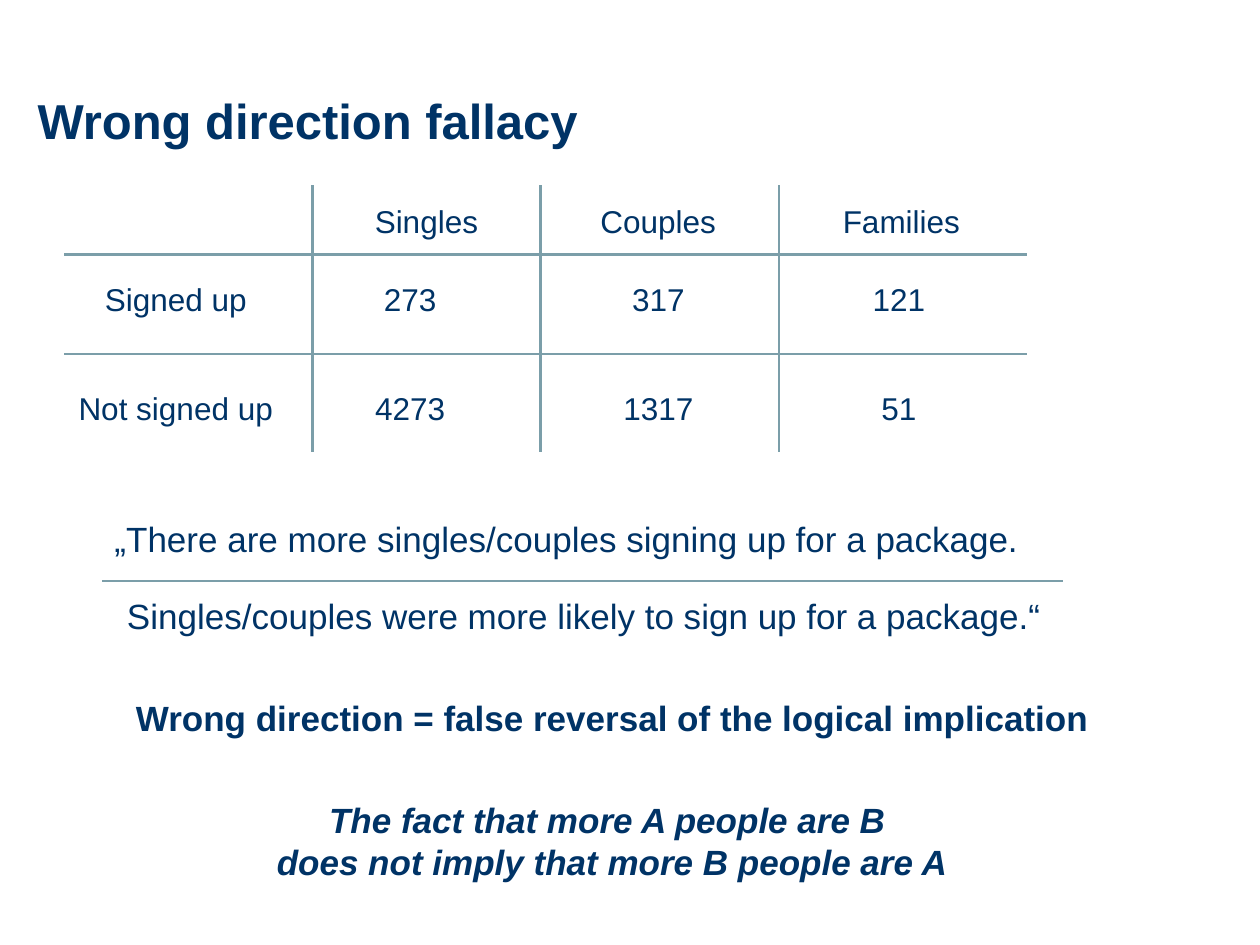
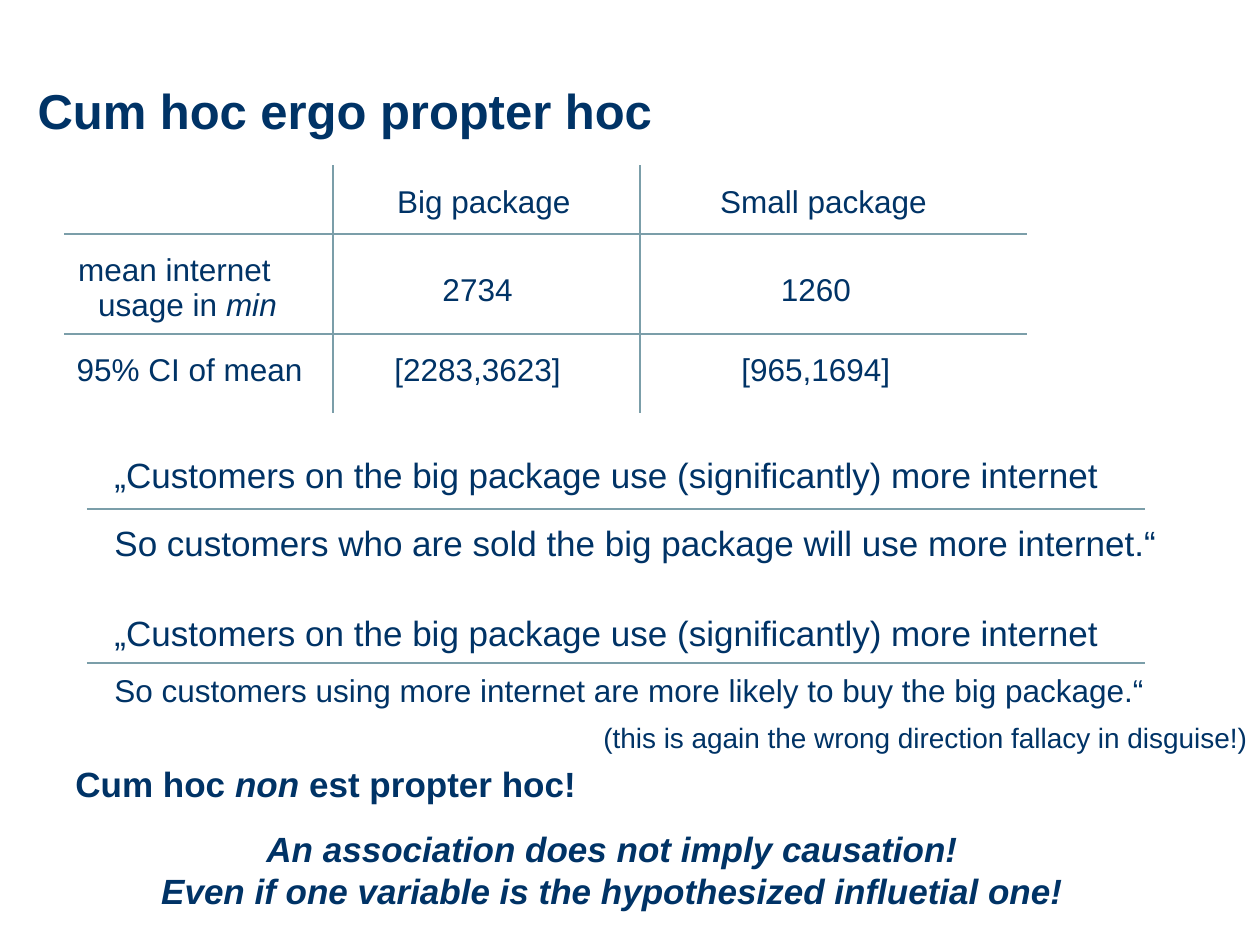
from lxml import etree
from pptx import Presentation
from pptx.dml.color import RGBColor
from pptx.enum import shapes, text
from pptx.oxml import ns
from pptx.util import Inches, Pt

NAVY = RGBColor(0x00, 0x33, 0x66)
SLATE = RGBColor(0x7B, 0x9E, 0xA9)
FONT = "Arial"
RULE_WIDTH = Pt(1.25)
PLAIN_TABLE = "{2D5ABB26-0587-4C30-8999-92F81FD0307C}"
CENTER = text.PP_ALIGN.CENTER
LEFT = text.PP_ALIGN.LEFT
TOP = text.MSO_ANCHOR.TOP
MIDDLE = text.MSO_ANCHOR.MIDDLE


def write(frame, content, size=20, bold=False, italic=False, align=LEFT, before=0):
    spans = [(content, italic)] if isinstance(content, str) else content
    para = frame.paragraphs[0]
    para.alignment = align
    para.space_before = Pt(before)
    for wording, slanted in spans:
        for number, line in enumerate(wording.split("\n")):
            if number:
                para.add_line_break()
            span = para.add_run()
            span.text = line
            span.font.name = FONT
            span.font.size = Pt(size)
            span.font.bold = bold
            span.font.italic = slanted
            span.font.color.rgb = NAVY


def add_text(page, box, content, anchor=TOP, **style):
    frame = page.shapes.add_textbox(*map(Inches, box)).text_frame
    frame.word_wrap = True
    frame.vertical_anchor = anchor
    write(frame, content, **style)


def add_title(page, top, wording):
    add_text(page, (0.2, top, 9.52, 0.55), wording, MIDDLE, size=28, bold=True, before=2)


def add_moral(page, top, wording):
    add_text(page, (-0.04, top, 9.8, 0.93), wording, bold=True, italic=True, align=CENTER)


def add_rule(page, start, end):
    rule = page.shapes.add_connector(
        shapes.MSO_CONNECTOR.STRAIGHT, *map(Inches, start + end))
    rule.line.color.rgb = SLATE
    rule.line.width = RULE_WIDTH
    etree.SubElement(rule._element.spPr, ns.qn("a:effectLst"))


def add_argument(page, premise_box, rule, conclusion_box, premise, conclusion, size=20):
    left, right, y = rule
    add_text(page, premise_box, premise)
    add_rule(page, (left, y), (right, y))
    add_text(page, conclusion_box, conclusion, size=size)


def set_margins(cell, shift, drop):
    cell.margin_left = Inches(max(2 * shift, 0))
    cell.margin_right = Inches(max(-2 * shift, 0))
    cell.margin_top = Inches(max(2 * drop, 0))
    cell.margin_bottom = Inches(max(-2 * drop, 0))


def add_grid(page, columns, rows, cells, header_shifts, body_shifts, drops):
    box = (columns[0], rows[0], columns[-1] - columns[0], rows[-1] - rows[0])
    grid = page.shapes.add_table(len(rows) - 1, len(columns) - 1, *map(Inches, box)).table
    grid.first_row = grid.horz_banding = False
    grid._tbl.tblPr.find(ns.qn("a:tableStyleId")).text = PLAIN_TABLE
    for column, start, end in zip(grid.columns, columns, columns[1:]):
        column.width = Inches(end - start)
    for row, start, end in zip(grid.rows, rows, rows[1:]):
        row.height = Inches(end - start)
    for r, line in enumerate(cells):
        shifts = body_shifts if r else header_shifts
        for c, content in enumerate(line):
            cell = grid.cell(r, c)
            cell.fill.background()
            cell.vertical_anchor = MIDDLE
            set_margins(cell, shifts[c], drops[r])
            write(cell.text_frame, content, size=18, align=CENTER)
    return grid


def add_grid_rules(page, columns, rows, spans):
    for y in rows[1:-1]:
        add_rule(page, (columns[0], y), (columns[-1], y))
    for x in columns[1:-1]:
        for top, bottom in spans:
            add_rule(page, (x, top), (x, bottom))


def hang_label(cell, margin, indent):
    cell.margin_left = Inches(margin)
    para = cell.text_frame.paragraphs[0]
    para.alignment = LEFT
    properties = para._p.get_or_add_pPr()
    properties.set("marL", str(Inches(indent)))
    properties.set("indent", str(-Inches(indent)))


def build_wrong_direction(page):
    columns, rows = (0.51, 2.48, 4.29, 6.18, 8.15), (1.47, 2.02, 2.81, 3.59)
    add_title(page, 0.68, "Wrong direction fallacy")
    add_grid(
        page, columns, rows,
        [("", "Singles", "Couples", "Families"),
         ("Signed up", "273", "317", "121"),
         ("Not signed up", "4273", "1317", "51")],
        header_shifts=(0, 0, -0.01, -0.01), body_shifts=(-0.1, -0.13, -0.01, -0.03),
        drops=(0.02, -0.03, 0.05))
    add_grid_rules(page, columns, rows, [(1.47, 2.81), (2.25, 3.59)])
    add_argument(
        page, (0.81, 4.06, 8.19, 0.55), (0.81, 8.44, 4.61), (0.91, 4.67, 8.6, 0.55),
        "„There are more singles/couples signing up for a package.",
        "Singles/couples were more likely to sign up for a package.“")
    add_text(page, (0.98, 5.48, 7.87, 0.38),
             "Wrong direction = false reversal of the logical implication", bold=True)
    add_moral(page, 6.29,
              "The fact that more A people are B \ndoes not imply that more B people are A")


def build_cum_hoc(page):
    columns, rows = (0.51, 2.64, 5.08, 8.15), (1.31, 1.86, 2.65, 3.28)
    add_title(page, 0.6, "Cum hoc ergo propter hoc")
    grid = add_grid(
        page, columns, rows,
        [("", "Big package", "Small package"),
         ([("mean internet usage in ", False), ("min", True)], "2734", "1260"),
         ("95% CI of mean", "[2283,3623]", "[965,1694]")],
        header_shifts=(0, -0.02, -0.08), body_shifts=(-0.07, -0.07, -0.14),
        drops=(0.02, 0.05, -0.02))
    hang_label(grid.cell(1, 0), 0.11, 0.16)
    grid.cell(1, 0).margin_top = Inches(0.06)
    add_grid_rules(page, columns, rows, [(1.31, 3.28)])
    premise = "„Customers on the big package use (significantly) more internet"
    add_argument(
        page, (0.81, 3.55, 8.19, 0.41), (0.69, 9.09, 4.04), (0.81, 4.09, 8.6, 0.47),
        premise, "So customers who are sold the big package will use more internet.“")
    add_argument(
        page, (0.81, 4.8, 8.19, 0.45), (0.69, 9.09, 5.26), (0.81, 5.28, 8.6, 0.46),
        premise, "So customers using more internet are more likely to buy the big package.“",
        size=18)
    add_text(page, (4.69, 5.67, 5.65, 0.43),
             "(this is again the wrong direction fallacy in disguise!)", size=16)
    add_text(page, (0.5, 6, 4.27, 0.38),
             [("Cum hoc ", False), ("non ", True), ("est propter hoc!", False)], bold=True)
    add_moral(page, 6.52, "An association does not imply causation!\n"
              "Even if one variable is the hypothesized influetial one!")


deck = Presentation()
deck.slide_width, deck.slide_height = Inches(10), Inches(7.5)
for build in (build_wrong_direction, build_cum_hoc):
    build(deck.slides.add_slide(deck.slide_layouts[6]))
deck.save("out.pptx")
